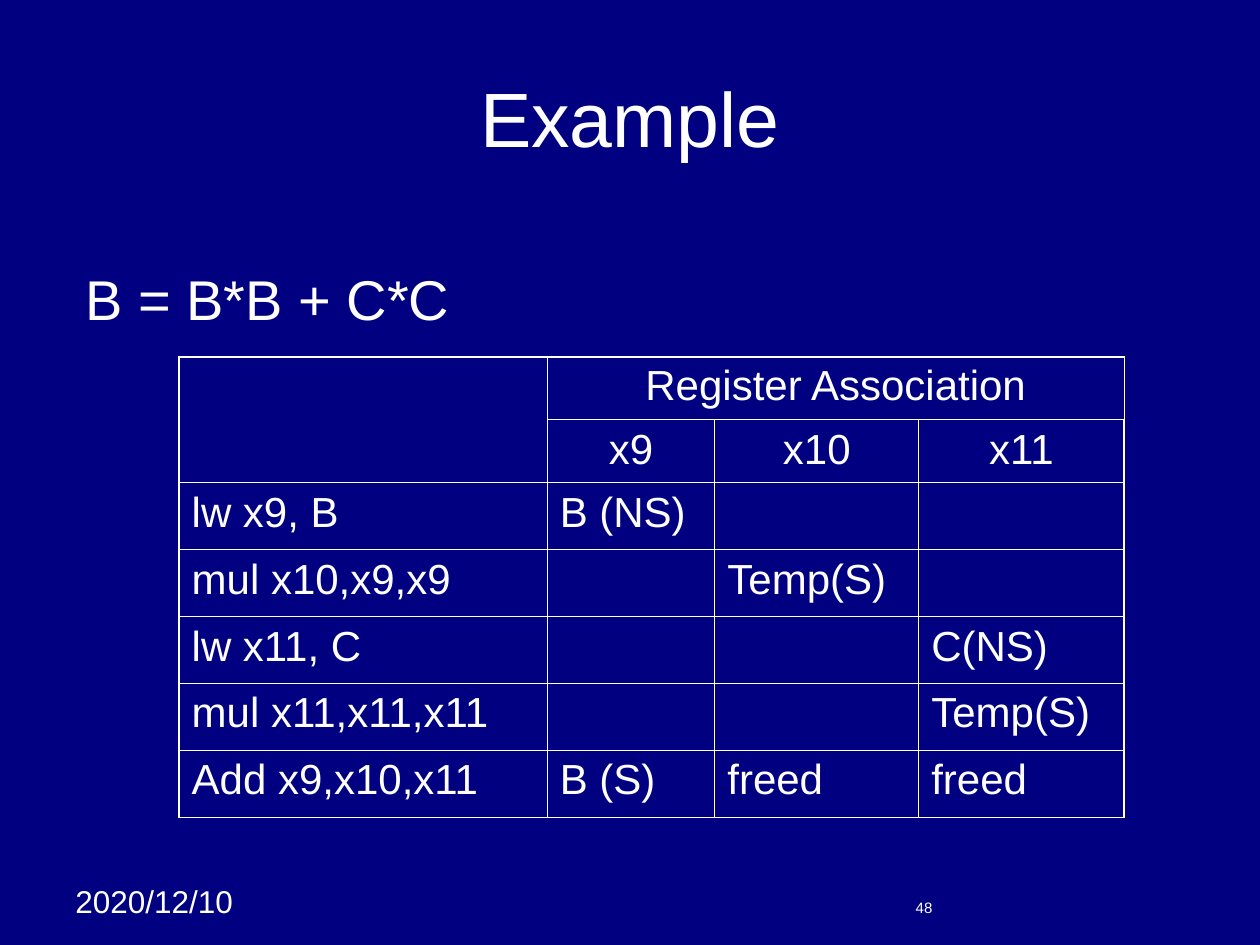
from typing import Any, NamedTuple

from lxml import etree
from pptx import Presentation
from pptx.dml.color import RGBColor
from pptx.enum.text import MSO_ANCHOR, PP_ALIGN
from pptx.oxml.ns import qn
from pptx.util import Cm, Pt

LEFT, CENTER = PP_ALIGN.LEFT, PP_ALIGN.CENTER
TOP, MIDDLE = MSO_ANCHOR.TOP, MSO_ANCHOR.MIDDLE
NAVY = RGBColor(0x00, 0x00, 0x80)
WHITE = RGBColor(0xFF, 0xFF, 0xFF)
INNER, OUTER = Pt(0.45), Pt(1.08)


class Label(NamedTuple):
    text: str
    x: float
    y: float
    w: float
    h: float
    size: float
    align: Any = LEFT
    anchor: Any = TOP
    inset: float = 0.13


TITLE = Label("Example", 1.27, 0.76, 22.86, 3.18, 44, CENTER, MIDDLE)
LABELS = [
    Label("2020/12/10", 1.27, 17.65, 4.01, 1.78, 18),
    Label("48", 18.21, 17.98, 5.92, 0.69, 8.6),
    Label("B = B*B + C*C", 1.47, 5.08, 23.29, 12.07, 32, inset=0.25),
]
COL_WIDTHS = [7.42, 3.38, 4.11, 4.14]
ROW_HEIGHTS = [1.27] * 2 + [1.35] * 5
HEADER_ROWS = 2
ROWS = [
    ["", "Register Association", "", ""],
    ["", "x9", "x10", "x11"],
    ["lw x9, B", "B (NS)", "", ""],
    ["mul x10,x9,x9", "", "Temp(S)", ""],
    ["lw x11, C", "", "", "C(NS)"],
    ["mul x11,x11,x11", "", "", "Temp(S)"],
    ["Add x9,x10,x11", "B (S)", "freed", "freed"],
]


def set_attrs(obj: Any, values: dict[str, Any]) -> None:
    for name, value in values.items():
        setattr(obj, name, value)


def write(tf: Any, text: str, size: float, align: Any) -> None:
    p = tf.paragraphs[0]
    p.alignment = align
    font = p.font
    if text:
        r = p.add_run()
        r.text = text
        font = r.font
    set_attrs(font, {"name": "Arial", "size": Pt(size), "bold": False})
    font.color.rgb = WHITE


def fill_label(sp: Any, label: Label) -> None:
    set_attrs(sp, {"left": Cm(label.x), "top": Cm(label.y),
                   "width": Cm(label.w), "height": Cm(label.h)})
    set_attrs(sp.text_frame, {
        "word_wrap": True, "vertical_anchor": label.anchor,
        "margin_left": Cm(0.25), "margin_right": Cm(0.25),
        "margin_top": Cm(label.inset), "margin_bottom": Cm(label.inset)})
    write(sp.text_frame, label.text, label.size, label.align)


def set_borders(cell: Any, widths: dict[str, int]) -> None:
    tc_pr = cell._tc.get_or_add_tcPr()
    for side, width in widths.items():
        ln = etree.SubElement(tc_pr, qn(f"a:ln{side}"), w=str(int(width)))
        fill = etree.SubElement(ln, qn("a:solidFill"))
        etree.SubElement(fill, qn("a:srgbClr"), val=str(WHITE))


def add_register_table(slide: Any) -> None:
    last_row, last_col = len(ROWS) - 1, len(COL_WIDTHS) - 1
    table = slide.shapes.add_table(
        len(ROWS), len(COL_WIDTHS), Cm(3.61), Cm(7.19),
        Cm(sum(COL_WIDTHS)), Cm(sum(ROW_HEIGHTS))).table
    set_attrs(table, {"first_row": False, "horz_banding": False})
    for col, width in zip(table.columns, COL_WIDTHS):
        col.width = Cm(width)
    for row, height in zip(table.rows, ROW_HEIGHTS):
        row.height = Cm(height)
    table.cell(0, 0).merge(table.cell(1, 0))
    table.cell(0, 1).merge(table.cell(0, last_col))
    for i, row in enumerate(ROWS):
        for j, text in enumerate(row):
            cell = table.cell(i, j)
            set_borders(cell, {
                "L": OUTER if j == 0 else INNER,
                "R": OUTER if j == last_col else INNER,
                "T": OUTER if i == 0 else INNER,
                "B": OUTER if i == last_row else INNER})
            cell.fill.background()
            write(cell.text_frame, text, 24, CENTER if i < HEADER_ROWS else LEFT)


def main() -> None:
    prs = Presentation()
    set_attrs(prs, {"slide_width": Cm(25.4), "slide_height": Cm(19.05)})
    slide = prs.slides.add_slide(prs.slide_layouts[5])
    slide.background.fill.solid()
    slide.background.fill.fore_color.rgb = NAVY
    fill_label(slide.shapes.title, TITLE)
    for label in LABELS:
        fill_label(slide.shapes.add_textbox(0, 0, 0, 0), label)
    add_register_table(slide)
    prs.save("out.pptx")


if __name__ == "__main__":
    main()
